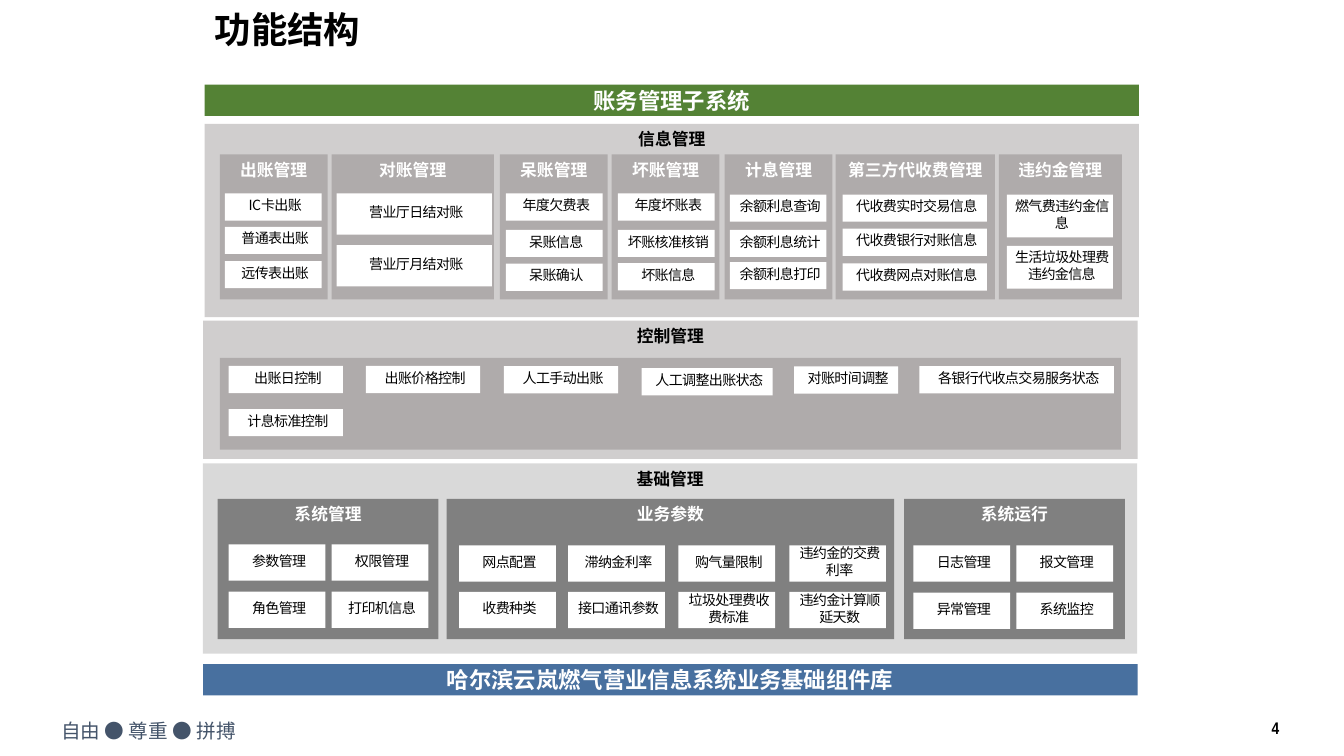
from lxml.etree import SubElement
from pptx import Presentation
from pptx.dml.color import RGBColor
from pptx.enum.shapes import MSO_SHAPE as Shape
from pptx.enum.text import MSO_ANCHOR as Anchor, MSO_AUTO_SIZE as Auto, PP_ALIGN as Align
from pptx.oxml.ns import qn
from pptx.util import Pt

CJK = "Noto Sans CJK SC"
BLACK = RGBColor(0x00, 0x00, 0x00)
WHITE = RGBColor(0xFF, 0xFF, 0xFF)
GREEN = RGBColor(0x54, 0x82, 0x35)
BLUE = RGBColor(0x48, 0x70, 0x9F)
SLATE = RGBColor(0x44, 0x54, 0x6A)
PALE = RGBColor(0xD9, 0xD9, 0xD9)
LIGHT = RGBColor(0xD0, 0xCE, 0xCE)
MID = RGBColor(0xAF, 0xAB, 0xAB)
DARK = RGBColor(0x80, 0x80, 0x80)

BAND_W = 667.4
CELL_W = 69.1
CELL_H = 19.4

# Groups of the upper band: title, left, width, cell left, cell width, cell height, tops, labels
INFO = [
    ("出账管理", 157, 77, 160.6, CELL_W, CELL_H, (138.2, 162, 186.5),
     ("IC卡出账", "普通表出账", "远传表出账")),
    ("对账管理", 236.9, 115.9, 240.5, 110.9, 29.5, (138.2, 175),
     ("营业厅日结对账", "营业厅月结对账")),
    ("呆账管理", 357.1, 77, 361.4, CELL_W, CELL_H, (138.2, 164.2, 188.4),
     ("年度欠费表", "呆账信息", "呆账确认")),
    ("坏账管理", 437, 77, 441.4, CELL_W, CELL_H, (138.2, 164.2, 188),
     ("年度坏账表", "坏账核准核销", "坏账信息")),
    ("计息管理", 517.7, 77, 521.3, CELL_W, CELL_H, (139, 164.2, 187.2),
     ("余额利息查询", "余额利息统计", "余额利息打印")),
    ("第三方代收费管理", 596.9, 113.8, 601.9, 103, CELL_H, (139, 163.4, 188.2),
     ("代收费实时交易信息", "代收费银行对账信息", "代收费网点对账信息")),
    ("违约金管理", 713.5, 87.8, 719.3, 75.6, 30.6, (139, 175.7),
     ("燃气费违约金信息", "生活垃圾处理费违约金信息")),
]

# Cells of the middle band: label, left, top, width
CONTROL = [
    ("出账日控制", 163.4, 261.4, 81.6),
    ("出账价格控制", 261.4, 261.4, 81.6),
    ("人工手动出账", 360, 261.6, 81.6),
    ("人工调整出账状态", 458.4, 263, 93.6),
    ("对账时间调整", 567.2, 261.8, 74.4),
    ("各银行代收点交易服务状态", 656.8, 261.6, 138.8),
    ("计息标准控制", 163.4, 292.2, 81.6),
]

# Groups of the lower band: title, left, width, columns, rows, labels by row
BASE = [
    ("系统管理", 155.5, 157.7, (163.4, 236.9), (388.8, 422.6),
     ("参数管理", "权限管理", "角色管理", "打印机信息")),
    ("业务参数", 319, 319.7, (328, 405.8, 484.6, 563.8), (389.5, 422.8),
     ("网点配置", "滞纳金利率", "购气量限制", "违约金的交费利率",
      "收费种类", "接口通讯参数", "垃圾处理费收费标准", "违约金计算顺延天数")),
    ("系统运行", 645.8, 157.7, (652.5, 726), (389.5, 423.4),
     ("日志管理", "报文管理", "异常管理", "系统监控")),
]


def write(frame, text, size, color, bold=False, face=CJK, align=Align.CENTER, gap=None):
    frame.word_wrap = True
    frame.text = text
    par = frame.paragraphs[0]
    par.alignment = align
    for run in par.runs:
        font = run.font
        font.size, font.bold, font.name = Pt(size), bold, face
        font.color.rgb = color
        props = font._element
        SubElement(props, qn("a:ea")).set("typeface", CJK)
        if gap:
            props.set("spc", str(gap))


def block(slide, box, fill):
    rect = slide.shapes.add_shape(Shape.RECTANGLE, *map(Pt, box))
    rect.shadow.inherit = False
    rect.fill.solid()
    rect.fill.fore_color.rgb = fill
    rect.line.fill.background()
    return rect


def panel(slide, text, box, fill, color):
    frame = block(slide, box, fill).text_frame
    frame.vertical_anchor = Anchor.TOP
    write(frame, text, 12, color, True, "Arial")


def banner(slide, text, left, top, fill, face):
    frame = block(slide, (left, top, BAND_W, 22.3), fill).text_frame
    frame.vertical_anchor = Anchor.MIDDLE
    write(frame, text, 16, WHITE, True, face)


def cell(slide, text, box):
    frame = block(slide, box, WHITE).text_frame
    frame.vertical_anchor = Anchor.MIDDLE
    frame.margin_left = frame.margin_bottom = Pt(5.76)
    frame.margin_top = frame.margin_right = Pt(2.88)
    write(frame, text, 10, BLACK, gap=-40)


def grid(slide, cols, rows, wide, high, labels):
    spots = [(x, y) for y in rows for x in cols]
    for (x, y), text in zip(spots, labels):
        cell(slide, text, (x, y, wide, high))


def note(slide, text, box, size, color, **style):
    frame = slide.shapes.add_textbox(*map(Pt, box)).text_frame
    write(frame, text, size, color, **style)
    return frame


def heading(slide, text):
    title = slide.shapes.title
    title.left, title.top, title.width, title.height = map(Pt, (146.2, 5, 457.2, 42.5))
    frame = title.text_frame
    frame.auto_size = Auto.NONE
    frame.vertical_anchor = Anchor.TOP
    write(frame, text, 26, BLACK, True, align=Align.LEFT)
    par = frame.paragraphs[0]
    par.line_spacing, par.space_before = 0.9, Pt(10)


def main():
    deck = Presentation()
    deck.slide_width, deck.slide_height = Pt(960), Pt(540)
    slide = deck.slides.add_slide(deck.slide_layouts[5])
    heading(slide, "功能结构")

    # Top and bottom banners
    banner(slide, "账务管理子系统", 146.2, 60.5, GREEN, "Arial")
    banner(slide, "哈尔滨云岚燃气营业信息系统业务基础组件库", 145.2, 474.4, BLUE, CJK)

    # Information band
    panel(slide, "信息管理", (146.2, 88.4, BAND_W, 138.2), LIGHT, BLACK)
    for name, left, width, x, wide, high, rows, labels in INFO:
        panel(slide, name, (left, 110.2, width, 103.7), MID, WHITE)
        grid(slide, (x,), rows, wide, high, labels)

    # Control band
    panel(slide, "控制管理", (145.2, 229, BAND_W, 98.8), LIGHT, BLACK)
    block(slide, (157, 255.6, 643.7, 65.5), MID)
    for text, x, y, wide in CONTROL:
        cell(slide, text, (x, y, wide, CELL_H))

    # Foundation band
    panel(slide, "基础管理", (145, 331, BAND_W, 136), PALE, BLACK)
    for name, left, width, cols, rows, labels in BASE:
        panel(slide, name, (left, 356.4, width, 100.1), DARK, WHITE)
        grid(slide, cols, rows, CELL_W, 25.9, labels)

    # Footer
    note(slide, "自由 ● 尊重 ● 拼搏", (36.7, 509.8, 249.8, 24.5), 14, SLATE, align=Align.LEFT)
    page = note(slide, "4", (870.5, 511.9, 50.4, 16.6), 12, BLACK,
                bold=True, face="Arial Narrow", align=Align.RIGHT)
    page.vertical_anchor = Anchor.MIDDLE

    deck.save("out.pptx")


if __name__ == "__main__":
    main()
